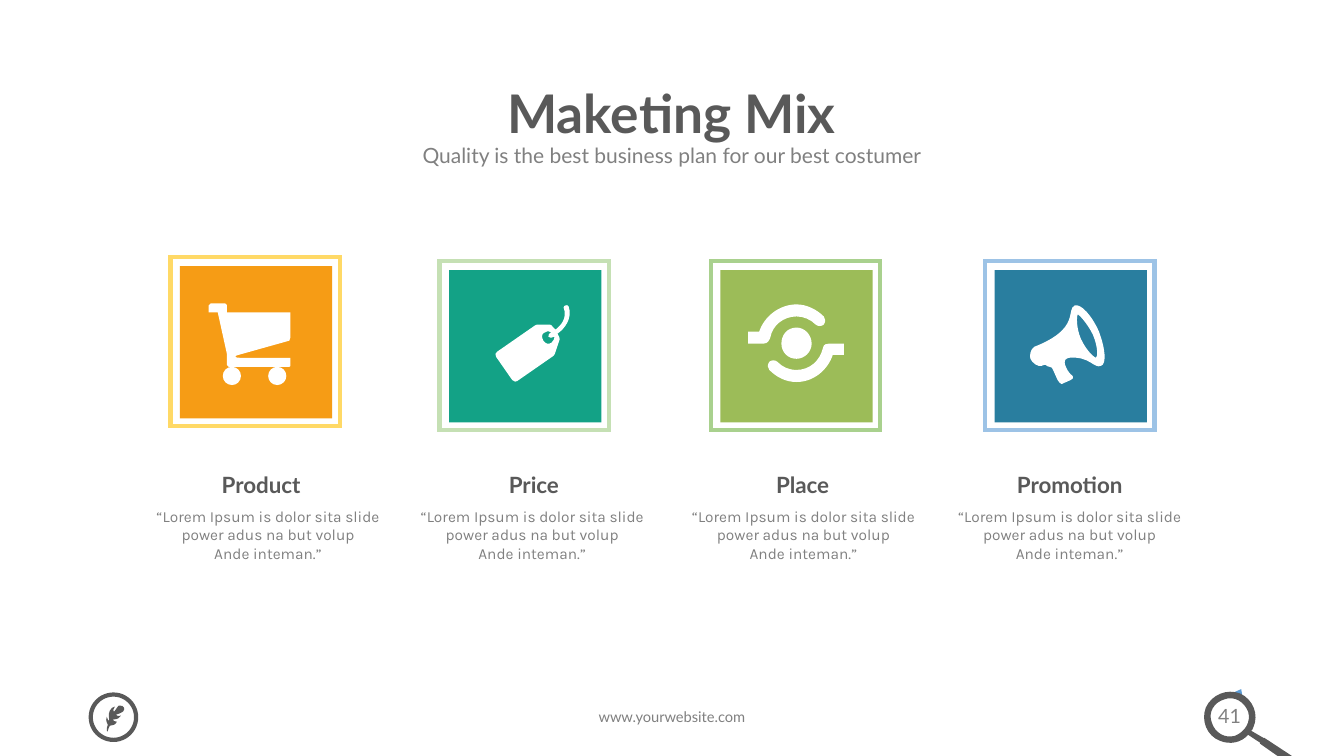
import lxml.etree
import pptx
import pptx.dml.color
import pptx.enum.shapes
import pptx.enum.text
import pptx.oxml.ns
import pptx.util

UNIT = pptx.util.Inches(0.01)
COLS, ROWS = 1333, 750
SHAPE = pptx.enum.shapes.MSO_SHAPE
ANCHOR = pptx.enum.text.MSO_ANCHOR
COLORS = {
    "dark": "595959", "grey": "808080", "white": "FFFFFF", "accent": "5B9BD5",
    "orange": "F69C15", "yellow": "FFD966", "teal": "13A286", "mint": "C5E0B4",
    "green": "9CBC58", "leaf": "A9D18E", "blue": "297E9F", "sky": "9DC3E6",
}
QUOTE = "“Lorem Ipsum is dolor sita slide power adus na but volup\nAnde inteman.”"

CART = (
    "M68 97 L118 83 C119 82 119 81 119 80 L119 55 L56 55 L56 48 C56 47 55 46 54 46 "
    "L40 46 C39 46 38 47 38 48 L38 55 L47 55 L56 96 L56 100 L56 107 C56 108 57 109 58 109 "
    "L61 109 L106 109 L118 109 C119 109 119 108 119 107 L119 100 L69 100 C63 100 63 98 68 97 "
    "M97 118 C97 123 101 127 106 127 C111 127 115 123 115 118 "
    "C115 113 111 109 106 109 C101 109 97 113 97 118 "
    "M52 118 C52 123 56 127 61 127 C66 127 70 123 70 118 "
    "C70 113 66 109 61 109 C56 109 52 113 52 118"
)
TAG = (
    "M111 81 C108 83 105 82 103 79 C101 76 101 72 104 71 C106 69 109 69 111 71 "
    "C110 71 109 72 109 72 C108 72 108 74 108 75 C109 76 109 76 110 76 "
    "C111 76 111 76 111 76 C112 75 113 75 114 75 C114 77 113 79 111 81 "
    "M128 45 C127 44 126 43 125 44 C124 44 123 45 123 46 C127 57 120 64 115 68 "
    "L112 65 C112 64 110 63 109 63 L97 63 C96 63 94 64 93 65 L57 90 "
    "C55 91 55 93 56 95 L72 118 C74 120 76 120 77 119 L113 94 C114 93 115 91 115 90 "
    "L119 78 C119 77 119 75 118 74 L117 72 C124 67 132 57 128 45"
)
ORBIT = (
    "M117 82 C112 82 111 85 111 87 C108 99 98 108 85 108 C77 108 71 105 66 100 "
    "C64 98 60 98 58 100 C56 103 56 106 58 108 C65 115 74 120 85 120 "
    "C102 120 116 108 121 93 L132 93 L132 82 C132 82 117 82 117 82 "
    "M59 76 C61 64 72 55 85 55 C92 55 99 58 104 63 C106 65 110 65 112 63 "
    "C114 60 114 57 112 55 C105 48 95 43 85 43 C68 43 53 55 48 70 "
    "L37 70 L37 82 L52 82 C57 82 58 78 59 76 "
    "M70 82 C70 90 76 97 85 97 C93 97 100 90 100 82 C100 73 93 66 85 66 "
    "C76 66 70 73 70 82"
)
MEGAPHONE = (
    "M110 96 C109 96 101 90 95 77 C90 65 91 54 92 53 C93 53 101 61 107 73 "
    "C112 85 112 95 110 96 "
    "M113 70 C106 54 95 42 89 44 C80 48 95 67 49 85 C45 87 44 94 45 97 "
    "C47 101 52 105 56 104 C57 103 60 103 60 103 C63 106 66 104 67 107 "
    "C68 109 71 116 72 118 C73 120 75 122 76 122 C78 121 83 119 85 118 "
    "C87 117 88 116 87 114 C86 113 84 112 83 110 C82 109 79 103 79 101 "
    "C78 99 80 97 83 96 C104 94 108 107 115 104 C121 102 119 86 113 70"
)
MAGNIFIER = (
    "M36 47 C26 50 16 44 13 34 C9 24 15 14 25 11 C35 7 45 13 49 23 C52 33 46 43 36 47 "
    "M103 74 C100 72 65 49 65 49 C65 49 65 49 64 49 L52 42 C53 41 54 40 54 39 "
    "C60 26 54 11 41 5 C28 0 13 6 7 19 C2 32 8 47 21 52 C31 56 42 54 49 46 L61 54 "
    "C60 55 61 55 61 55 C61 55 95 79 99 81 C101 82 102 81 103 79 L103 79 "
    "C103 79 106 77 103 74"
)
FEATHER = (
    "M17 36 C17 35 18 33 19 31 C22 30 24 31 26 27 C24 27 22 26 22 25 "
    "C22 24 27 26 30 21 C26 22 25 20 25 20 C27 19 30 19 32 17 C33 16 34 14 33 13 "
    "C33 12 30 10 28 11 C27 11 24 17 23 17 C22 17 22 14 24 12 C22 12 20 14 19 16 "
    "C17 19 19 26 18 26 C18 27 16 23 16 22 C15 24 15 26 17 30 "
    "C16 32 16 34 16 36 C16 37 17 37 17 36"
)

MIX = [
    ("Product", (169, 255), (207, 104), 128, CART, "orange", "yellow"),
    ("Price", (436, 259), (492, 75), 390, TAG, "teal", "mint"),
    ("Place", (705, 259), (757, 78), 659, ORBIT, "green", "leaf"),
    ("Promotion", (977, 259), (994, 134), 923, MEGAPHONE, "blue", "sky"),
]


def rgb(name):
    """Return the palette colour of that name."""
    return pptx.dml.color.RGBColor.from_string(COLORS[name])


def emu(*units):
    """Convert grid units to whole EMU lengths."""
    return [pptx.util.Emu(round(u * UNIT)) for u in units]


def paint(sp, fill=None, line=None):
    """Give a shape a flat fill or a three-point mitred outline."""
    sp.shadow.inherit = False
    if fill:
        sp.fill.solid()
        sp.fill.fore_color.rgb = rgb(fill)
    else:
        sp.fill.background()
    if line:
        sp.line.color.rgb = rgb(line)
        sp.line.width = pptx.util.Pt(3)
        ln = sp.line._get_or_add_ln()
        lxml.etree.SubElement(ln, pptx.oxml.ns.qn("a:miter"), lim="800000")
    else:
        sp.line.fill.background()
    return sp


def add_preset(s, kind, box, **look):
    """Add a preset shape in a grid box."""
    return paint(s.shapes.add_shape(kind, *emu(*box)), **look)


def write(s, text, box, size, color="grey", font="Lato", bold=False, wrap=True,
          anchor=ANCHOR.TOP, spacing=None, sp=None):
    """Write centred paragraphs in a grid box or a given placeholder."""
    sp = sp or s.shapes.add_textbox(*emu(*box))
    sp.left, sp.top, sp.width, sp.height = emu(*box)
    tf = sp.text_frame
    tf.text = text
    tf.word_wrap = wrap
    tf.vertical_anchor = anchor
    for p in tf.paragraphs:
        p.alignment = pptx.enum.text.PP_ALIGN.CENTER
        p.line_spacing = spacing
        for r in p.runs:
            r.font.name, r.font.size, r.font.bold = font, pptx.util.Pt(size), bold
            r.font.color.rgb = rgb(color)
    return sp


def add_icon(s, outline, x, y, color):
    """Draw lines and cubic curves whose units count from the grid point x, y."""
    qn = pptx.oxml.ns.qn
    fb, segments = None, []
    for contour in outline.split("M")[1:]:
        steps = []
        for step in contour.replace("C", "|").replace("L", "|").split("|"):
            n = list(map(float, step.split()))
            steps.append([emu(x + px, y + py) for px, py in zip(n[::2], n[1::2])])
        start = steps[0][0]
        if fb:
            fb.move_to(*start)
        else:
            fb = s.shapes.build_freeform(*start)
        fb.add_line_segments([step[-1] for step in steps[1:]], close=True)
        segments += steps[1:]
    sp = fb.convert_to_shape()
    left, top = sp.left, sp.top
    for el, step in zip(list(sp._element.iter(qn("a:lnTo"))), segments):
        if len(step) == 3:
            el.tag = qn("a:cubicBezTo")
            for i, (px, py) in enumerate(step[:2]):
                pt = lxml.etree.Element(qn("a:pt"), x=str(px - left), y=str(py - top))
                el.insert(i, pt)
    return paint(sp, fill=color)


def add_heading(s, x, y, w):
    """Place the title and the subtitle below it."""
    write(s, "Maketing Mix", (x, y, w, 82), 38, "dark", bold=True,
          anchor=ANCHOR.MIDDLE, spacing=0.9, sp=s.shapes.title)
    write(s, "Quality is the best business plan for our best costumer",
          (x + 101, y + 62, w - 201, 39), 15)


def add_mix_item(s, name, corner, label, body_x, icon, fill, frame):
    """Place one framed icon with its label and text."""
    x, y = corner
    g = s.shapes.add_group_shape()
    add_preset(g, SHAPE.RECTANGLE, (x + 9.5, y + 9, 151, 151), fill=fill)
    add_preset(g, SHAPE.RECTANGLE, (x, y, 168, 168), line=frame)
    add_icon(g, icon, x, y, "white")
    write(s, name, (label[0], 462, label[1], 37), 16, "dark", bold=True, wrap=False)
    write(s, QUOTE, (body_x, 498, 276, 66), 11, font="Karla")


def add_footer(s, y):
    """Place the feather badge, the web address and the page number."""
    write(s, "www.yourwebsite.com", (425, y + 14, 483, 29), 10.5)
    page = s.shapes.add_group_shape()
    write(page, "41", (1189, y + 10, 61, 34), 14)
    sp = add_preset(page, SHAPE.RIGHT_ARROW, (1223, y, 11, 11), fill="accent")
    sp.rotation = 298.7
    sp.adjustments[0], sp.adjustments[1] = 0.32, 0.64
    add_icon(page, MAGNIFIER, 1189, y, "dark")
    badge = s.shapes.add_group_shape()
    add_preset(badge, SHAPE.OVAL, (90, y + 6, 45, 45), line="dark")
    add_icon(badge, FEATHER, 90, y + 6, "dark")


def main():
    """Build and save the slide."""
    prs = pptx.Presentation()
    prs.slide_width, prs.slide_height = emu(COLS, ROWS)
    s = prs.slides.add_slide(prs.slide_layouts[5])
    add_heading(s, 166, 74, 1000)
    for item in MIX:
        add_mix_item(s, *item)
    add_footer(s, 683)
    prs.save("out.pptx")


if __name__ == "__main__":
    main()
